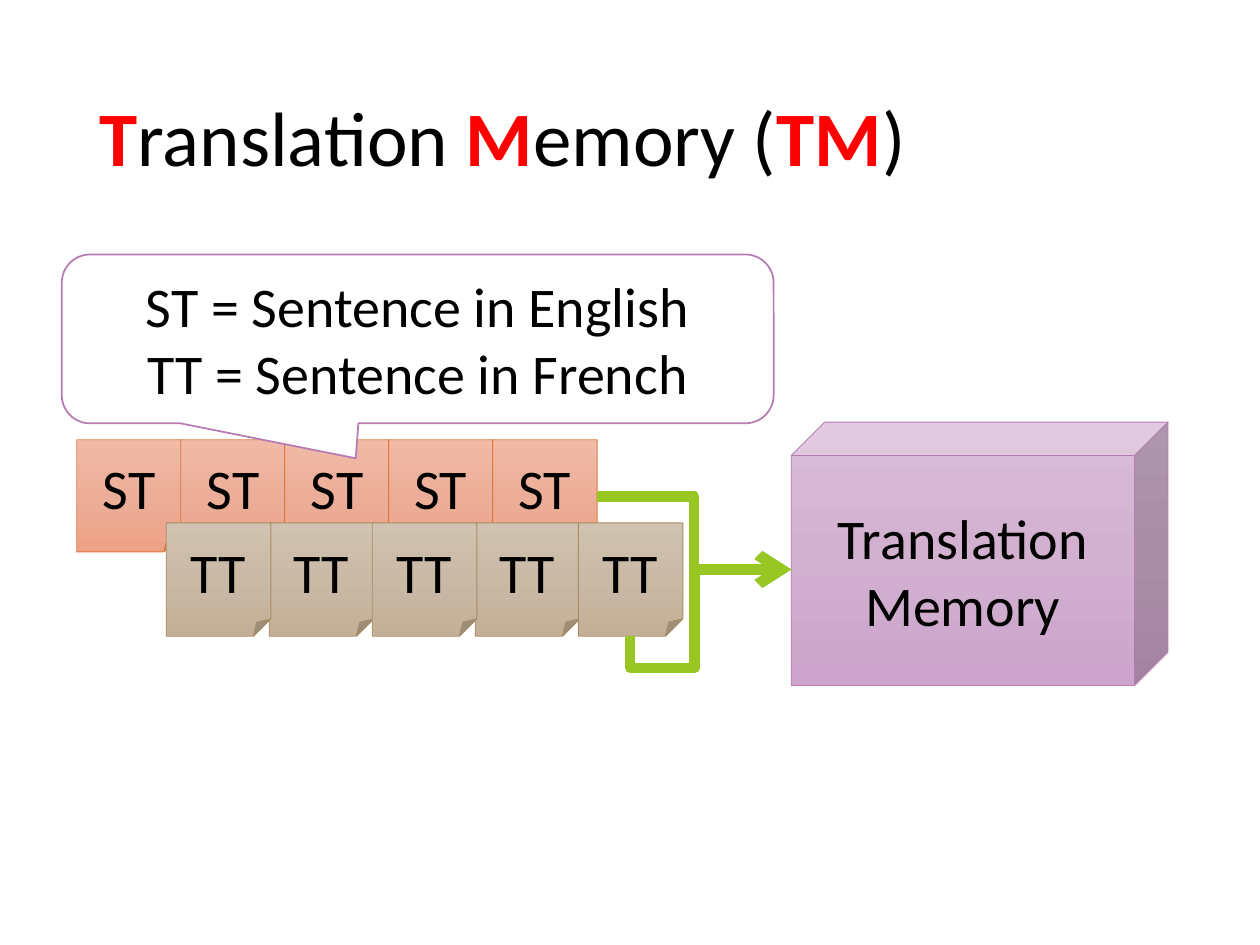
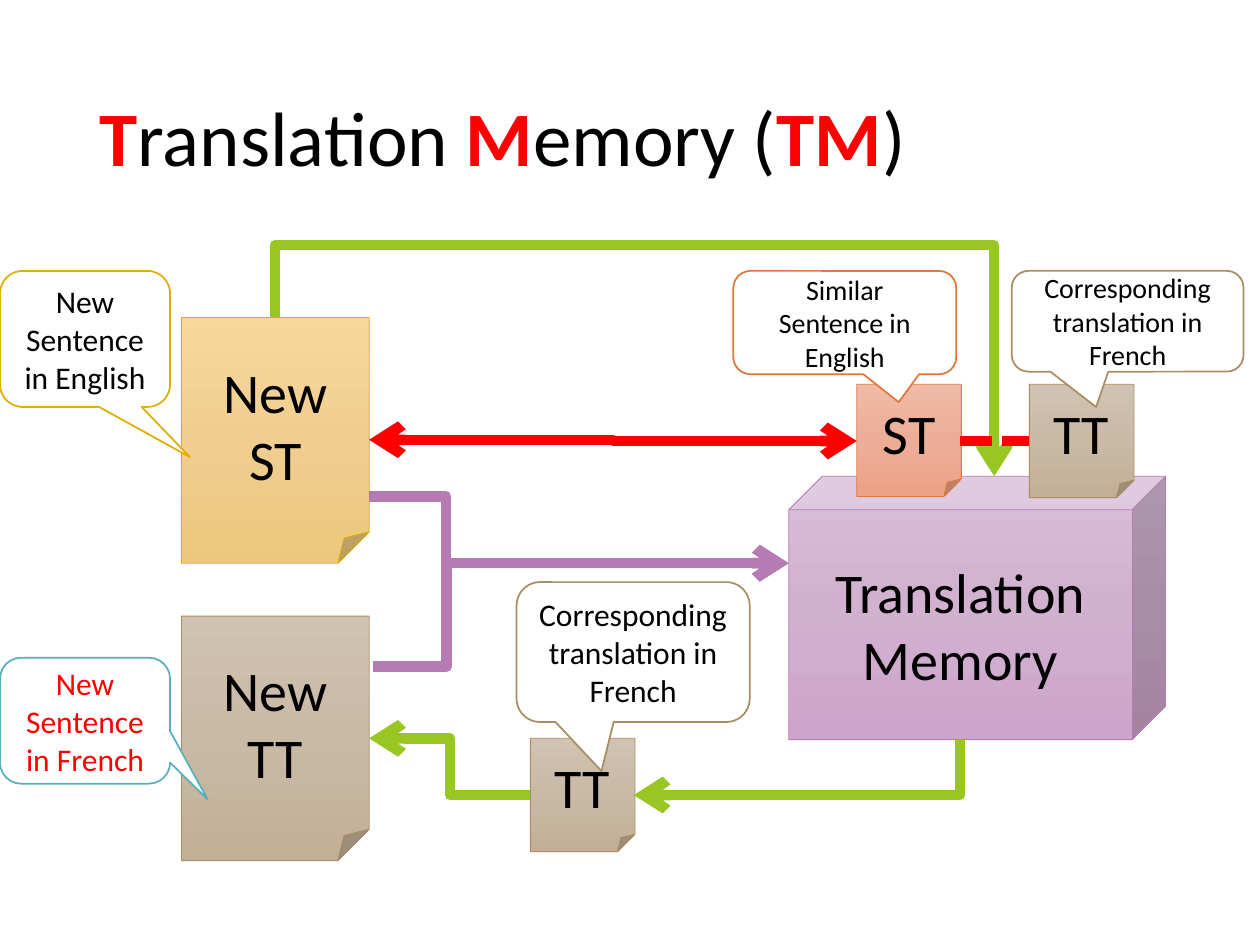
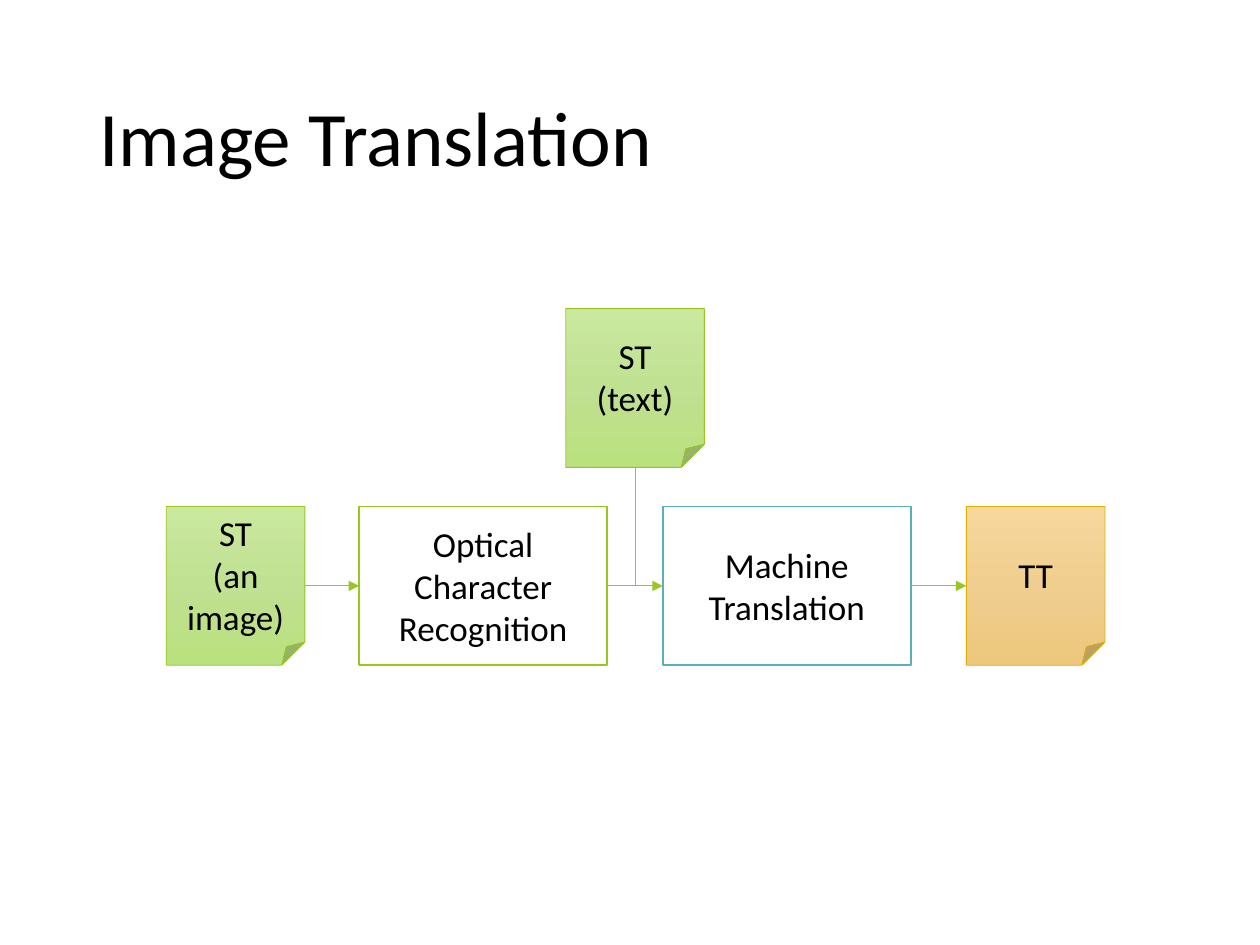
"""Build three slides on translation memory and image translation."""
from copy import deepcopy
from math import cos, radians, sin

from pptx import Presentation
from pptx.dml.color import RGBColor
from pptx.enum.dml import MSO_LINE
from pptx.enum.shapes import MSO_CONNECTOR, MSO_SHAPE
from pptx.enum.text import MSO_ANCHOR, PP_ALIGN
from pptx.oxml.ns import qn
from pptx.util import Inches, Pt
from lxml.etree import SubElement

FONT = "Calibri"
BLACK = RGBColor(0x00, 0x00, 0x00)
WHITE = RGBColor(0xFF, 0xFF, 0xFF)
RED = RGBColor(0xFF, 0x00, 0x00)
GREEN = RGBColor(0x98, 0xC7, 0x23)
TEAL = RGBColor(0x59, 0xB0, 0xB9)
PURPLE = RGBColor(0xB7, 0x7B, 0xB4)
ORANGE = RGBColor(0xE0, 0x77, 0x3C)
BROWN = RGBColor(0xA9, 0x8D, 0x63)
GOLD = RGBColor(0xDE, 0xAE, 0x00)

GRADIENTS = {
    PURPLE: (RGBColor(0xD9, 0xBD, 0xD8), RGBColor(0xD2, 0xB1, 0xD0), RGBColor(0xCD, 0xA4, 0xCB)),
    ORANGE: (RGBColor(0xF0, 0xBA, 0xA7), RGBColor(0xEC, 0xAE, 0x99), RGBColor(0xED, 0xA1, 0x85)),
    BROWN: (RGBColor(0xD1, 0xC3, 0xB2), RGBColor(0xC9, 0xB9, 0xA5), RGBColor(0xC3, 0xAF, 0x96)),
    GOLD: (RGBColor(0xF8, 0xD7, 0x9D), RGBColor(0xEF, 0xCE, 0x90), RGBColor(0xED, 0xC7, 0x7C)),
    GREEN: (RGBColor(0xCA, 0xE9, 0x9F), RGBColor(0xC0, 0xE0, 0x92), RGBColor(0xB9, 0xE1, 0x7D)),
}
NOTE = MSO_SHAPE.FOLDED_CORNER
CALLOUT = MSO_SHAPE.ROUNDED_RECTANGULAR_CALLOUT


def add_box(slide, text, left, top, width, height, color, kind=NOTE, size=32,
            font_color=BLACK, adjustments=()):
    """Add a centred text shape; notes and cubes are shaded, other kinds are white."""
    shape = slide.shapes.add_shape(kind, Inches(left), Inches(top), Inches(width), Inches(height))
    shape.shadow.inherit = False
    for index, value in enumerate(adjustments):
        shape.adjustments[index] = value
    shaded = kind in (NOTE, MSO_SHAPE.CUBE)
    if shaded:
        shape.fill.gradient()
        shape.fill.gradient_angle = 270
        first_stop = shape._element.spPr.find(".//" + qn("a:gs"))
        first_stop.addnext(deepcopy(first_stop))
        for index, stop in enumerate(shape.fill.gradient_stops):
            stop.position = index / 2
            stop.color.rgb = GRADIENTS[color][index]
    else:
        shape.fill.solid()
        shape.fill.fore_color.rgb = WHITE
    shape.line.color.rgb = color
    shape.line.width = Pt(0.5 if shaded else 1)
    shape.text_frame.text = text
    for paragraph in shape.text_frame.paragraphs:
        paragraph.alignment = PP_ALIGN.CENTER
        paragraph.font.name = FONT
        paragraph.font.size = Pt(size)
        paragraph.font.color.rgb = font_color


def add_link(slide, start, end, color=GREEN, width=6, preset="bentConnector3", rotation=0,
             adjustments=(), head=None, tail="arrow"):
    """Connect two points, turning the connector's frame about their midpoint."""
    center_x, center_y = (start[0] + end[0]) / 2, (start[1] + end[1]) / 2
    half_x, half_y = (end[0] - start[0]) / 2, (end[1] - start[1]) / 2
    cosine, sine = round(cos(radians(rotation))), round(sin(radians(rotation)))
    turned_x = half_x * cosine + half_y * sine
    turned_y = half_y * cosine - half_x * sine
    connector = slide.shapes.add_connector(
        MSO_CONNECTOR.STRAIGHT,
        Inches(center_x - turned_x), Inches(center_y - turned_y),
        Inches(center_x + turned_x), Inches(center_y + turned_y))
    connector.line.color.rgb = color
    connector.line.width = Pt(width)
    properties = connector._element.spPr
    if rotation:
        properties.find(qn("a:xfrm")).set("rot", str(rotation * 60000))
    geometry = properties.find(qn("a:prstGeom"))
    geometry.set("prst", preset)
    for number, value in enumerate(adjustments, 1):
        SubElement(geometry.find(qn("a:avLst")), qn("a:gd"),
                   name=f"adj{number}", fmla=f"val {round(value * 100000)}")
    for tag, arrow in (("a:headEnd", head), ("a:tailEnd", tail)):
        if arrow:
            SubElement(properties.find(qn("a:ln")), qn(tag), type=arrow)
    SubElement(properties, qn("a:effectLst"))
    return connector


presentation = Presentation()
presentation.slide_width = Inches(10)
presentation.slide_height = Inches(7.5)

MEMORY_TITLE = (("T", True), ("ranslation ", False), ("M", True), ("emory (", False),
                ("TM", True), (")", False))
for title_runs in (MEMORY_TITLE, MEMORY_TITLE, (("Image Translation", False),)):
    slide = presentation.slides.add_slide(presentation.slide_layouts[5])
    title = slide.shapes.title
    title.left, title.top, title.width, title.height = map(Inches, (0.69, 0.4, 8.62, 1.45))
    title.text_frame.vertical_anchor = MSO_ANCHOR.MIDDLE
    paragraph = title.text_frame.paragraphs[0]
    paragraph.alignment = PP_ALIGN.LEFT
    paragraph.line_spacing = 0.9
    for text, highlighted in title_runs:
        run = paragraph.add_run()
        run.text = text
        run.font.name = FONT
        run.font.size = Pt(44)
        run.font.bold = highlighted
        run.font.color.rgb = RED if highlighted else BLACK
building_slide, reuse_slide, image_slide = presentation.slides

for slide, left, top in ((building_slide, 6.28, 3.35), (reuse_slide, 6.26, 3.78)):
    add_box(slide, "Translation Memory", left, top, 2.99, 2.09, PURPLE,
            kind=MSO_SHAPE.CUBE, adjustments=(0.127,))

for column in range(5):
    add_box(building_slide, "ST", 0.61 + 0.825 * column, 3.49, 0.83, 0.89, ORANGE)
for column in (1, 0, 3, 2, 4):
    add_box(building_slide, "TT", 1.32 + 0.8175 * column, 4.15, 0.83, 0.9, BROWN)
add_link(building_slide, (4.74, 3.94), (6.28, 4.52))
add_link(building_slide, (5, 5.05), (6.28, 4.52), preset="bentConnector4", rotation=90,
         adjustments=(-0.475, 0.401))
add_box(building_slide, "ST = Sentence in English\nTT = Sentence in French",
        0.49, 2.02, 5.65, 1.34, PURPLE, kind=CALLOUT, adjustments=(-0.087, 0.707, 0.167))

add_box(reuse_slide, "New ST", 1.44, 2.52, 1.49, 1.95, GOLD)
add_box(reuse_slide, "TT", 4.21, 5.86, 0.83, 0.9, BROWN)
add_link(reuse_slide, (7.62, 5.87), (5.03, 6.31), preset="bentConnector2", rotation=90)
add_link(reuse_slide, (2.18, 2.52), (7.89, 3.78), rotation=270, adjustments=(-0.457,))
add_box(reuse_slide, "ST", 6.8, 3.05, 0.83, 0.89, ORANGE)
add_box(reuse_slide, "TT", 8.17, 3.05, 0.83, 0.9, BROWN)
add_link(reuse_slide, (2.93, 3.49), (6.8, 3.5), color=RED, head="arrow")
pair_link = add_link(reuse_slide, (7.62, 3.5), (8.17, 3.5), color=RED, preset="line", tail=None)
pair_link.line.dash_style = MSO_LINE.SQUARE_DOT
add_box(reuse_slide, "New TT", 1.44, 4.89, 1.49, 1.94, BROWN)
add_link(reuse_slide, (4.21, 6.31), (2.93, 5.86), rotation=180)

CORRESPONDING = "Corresponding translation in French"
for text, left, top, width, height, color, size, font_color, pointer in (
    ("New Sentence in English", 0, 2.15, 1.35, 1.08, GOLD, 18, BLACK, (0.617, 0.869)),
    ("Similar Sentence in English", 5.82, 2.15, 1.77, 0.82, ORANGE, 16, BLACK, (0.242, 0.77)),
    (CORRESPONDING, 8.03, 2.15, 1.84, 0.8, BROWN, 16, BLACK, (-0.136, 0.851)),
    (CORRESPONDING, 4.1, 4.62, 1.85, 1.11, BROWN, 18, BLACK, (-0.136, 0.851)),
    ("New Sentence in French", 0, 5.22, 1.35, 1, TEAL, 18, RED, (0.721, 0.625)),
):
    add_box(reuse_slide, text, left, top, width, height, color, kind=CALLOUT, size=size,
            font_color=font_color, adjustments=(*pointer, 0.167))
add_link(reuse_slide, (2.93, 3.94), (6.26, 4.47), color=PURPLE, adjustments=(0.183,))
add_link(reuse_slide, (2.96, 5.29), (6.26, 4.47), color=PURPLE, adjustments=(0.177,))

for text, left, width, color, kind in (
    ("Optical Character Recognition", 2.85, 1.97, GREEN, MSO_SHAPE.RECTANGLE),
    ("Machine Translation", 5.26, 1.97, TEAL, MSO_SHAPE.RECTANGLE),
    ("ST\n(an image)", 1.32, 1.1, GREEN, NOTE),
    ("TT", 7.67, 1.1, GOLD, NOTE),
):
    add_box(image_slide, text, left, 4.02, width, 1.26, color, kind=kind, size=20)
for start, end in ((2.42, 2.85), (4.82, 5.26), (7.23, 7.67)):
    add_link(image_slide, (start, 4.65), (end, 4.65), width=0.5, preset="line", tail="triangle")
add_box(image_slide, "ST\n(text)", 4.49, 2.45, 1.1, 1.26, GREEN, size=20)
add_link(image_slide, (5.04, 3.71), (5.04, 4.65), width=0.5, preset="line", tail=None)

presentation.save("out.pptx")
